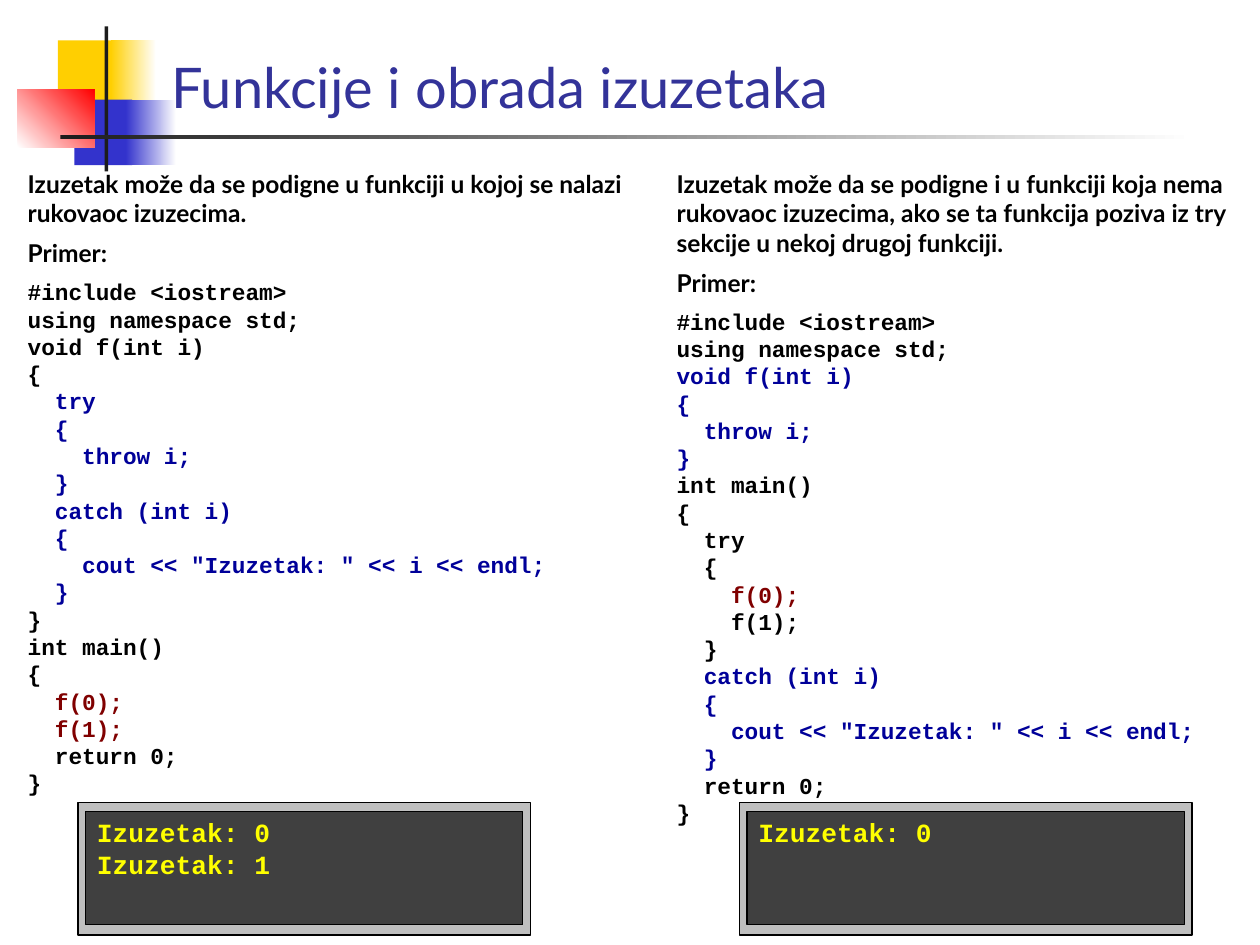
from pptx import Presentation
from pptx.dml.color import RGBColor
from pptx.enum.shapes import MSO_SHAPE
from pptx.enum.text import MSO_ANCHOR, MSO_AUTO_SIZE, PP_ALIGN
from pptx.oxml.ns import qn
from pptx.util import Inches, Pt
from lxml.etree import SubElement

COLORS = {
    "black": "000000", "white": "FFFFFF", "ink": "1C1C1C", "title": "333399",
    "gold": "FFCF01", "blue": "3333CC", "red": "FF0000", "navy": "000099",
    "maroon": "800000", "frame": "BFBFBF", "screen": "404040", "output": "FFFF00",
}
FORMATS = {
    "title": {"name": "Lato", "size": Pt(32), "bold": False},
    "prose": {"name": "Lato", "size": Pt(14), "bold": True},
    "code": {"name": "Courier New", "size": Pt(13), "bold": True},
    "output": {"name": "Courier New", "size": Pt(15), "bold": True},
}
DECORATION = [
    (0.46, 0.32, 0.48, 0.52, ["gold"], 0),
    (0.88, 0.32, 0.36, 0.52, ["gold", "white"], 0),
    (0.59, 0.79, 0.46, 0.52, ["blue"], 0),
    (1, 0.79, 0.4, 0.52, ["blue", "white"], 0),
    (0.14, 0.71, 0.61, 0.46, ["white", "red"], 45),
    (0.83, 0.21, 0.03, 1.15, ["ink"], 0),
    (0.48, 1.07, 9, 0.03, ["ink", "white"], 0),
]
LOCAL_HANDLER = [
    ("black", """#include <iostream>
using namespace std;
void f(int i)
{"""),
    ("navy", """  try
  {
    throw i;
  }
  catch (int i)
  {
    cout << "Izuzetak: " << i << endl;
  }"""),
    ("black", """}
int main()
{"""),
    ("maroon", """  f(0);
  f(1);"""),
    ("black", """  return 0;
}"""),
]
CALLER_HANDLER = [
    ("black", """#include <iostream>
using namespace std;"""),
    ("navy", """void f(int i)
{
  throw i;
}"""),
    ("black", """int main()
{
  try
  {"""),
    ("maroon", "    f(0);"),
    ("black", """    f(1);
  }"""),
    ("navy", """  catch (int i)
  {
    cout << "Izuzetak: " << i << endl;
  }"""),
    ("black", """  return 0;
}"""),
]
EXAMPLES = [
    (1, 0.12, 4.96, "Izuzetak može da se podigne u funkciji u kojoj se nalazi rukovaoc izuzecima.",
     LOCAL_HANDLER, 0.62, ["Izuzetak: 0", "Izuzetak: 1"]),
    (2, 5.27, 4.65, "Izuzetak može da se podigne i u funkciji koja nema rukovaoc izuzecima, "
     "ako se ta funkcija poziva iz try sekcije u nekoj drugoj funkciji.",
     CALLER_HANDLER, 5.87, ["Izuzetak: 0"]),
]


class Deck:
    """Holds the slide style and draws each kind of element on the current slide."""

    def __init__(self):
        self.prs = Presentation()
        self.prs.slide_width, self.prs.slide_height = Inches(10), Inches(7.5)
        self.s = self.prs.slides.add_slide(self.prs.slide_layouts[3])

    def color(self, name):
        return RGBColor.from_string(COLORS[name])

    def rect(self, x, y, w, h, fills, angle=0, line=None):
        sp = self.s.shapes.add_shape(
            MSO_SHAPE.RECTANGLE, Inches(x), Inches(y), Inches(w), Inches(h))
        sp.shadow.inherit = False
        if len(fills) > 1:
            sp.fill.gradient()
            sp.fill.gradient_angle = angle
            for stop, name in zip(sp.fill.gradient_stops, fills):
                stop.color.rgb = self.color(name)
        else:
            sp.fill.solid()
            sp.fill.fore_color.rgb = self.color(fills[0])
        if line:
            sp.line.color.rgb = self.color(line)
            sp.line.width = Pt(0)
        else:
            sp.line.fill.background()

    def placeholder(self, idx, x, y, w, h, anchor):
        sp = self.s.placeholders[idx]
        sp.left, sp.top, sp.width, sp.height = Inches(x), Inches(y), Inches(w), Inches(h)
        self.s.shapes._spTree.append(sp._element)
        tf = sp.text_frame
        tf.word_wrap, tf.auto_size, tf.vertical_anchor = True, MSO_AUTO_SIZE.NONE, anchor
        return tf

    def paragraph(self, tf, text, style, color, before=0, spacing=None, indent=0):
        p = tf.paragraphs[0] if not tf.paragraphs[0].runs else tf.add_paragraph()
        p.alignment, p.space_before = PP_ALIGN.LEFT, Pt(before)
        if spacing:
            p.line_spacing = Pt(spacing)
        pPr = p._p.get_or_add_pPr()
        pPr.set("marL", str(Inches(indent)))
        pPr.set("indent", str(-Inches(indent)))
        SubElement(pPr, qn("a:buNone"))
        r = p.add_run()
        r.text = text
        for key, value in FORMATS[style].items():
            setattr(r.font, key, value)
        r.font.color.rgb = self.color(color)

    def title(self, text):
        tf = self.placeholder(0, 1.26, 0.13, 8.74, 0.87, MSO_ANCHOR.BOTTOM)
        self.paragraph(tf, text, "title", "title")

    def example(self, idx, x, w, intro, code):
        tf = self.placeholder(idx, x, 1.29, w, 5.31, MSO_ANCHOR.TOP)
        self.paragraph(tf, intro, "prose", "black")
        self.paragraph(tf, "Primer:", "prose", "black", before=6)
        lines = [(color, line) for color, block in code for line in block.split("\n")]
        for i, (color, line) in enumerate(lines):
            self.paragraph(tf, line, "code", color, 0 if i else 6, 15.6, 0.38)

    def console(self, x, lines):
        self.rect(x, 6.37, 3.59, 1.05, ["frame"], line="black")
        self.rect(x + 0.06, 6.44, 3.47, 0.9, ["screen"], line="black")
        sp = self.s.shapes.add_textbox(
            Inches(x + 0.15), Inches(6.43), Inches(3.13), Inches(0.1 + 0.25 * len(lines)))
        tf = sp.text_frame
        tf.word_wrap, tf.margin_left, tf.margin_right = True, 0, 0
        for line in lines:
            self.paragraph(tf, line, "output", "output", spacing=18)


def main():
    deck = Deck()
    for part in DECORATION:
        deck.rect(*part)
    deck.title("Funkcije i obrada izuzetaka")
    for idx, x, w, intro, code, console_x, output in EXAMPLES:
        deck.example(idx, x, w, intro, code)
        deck.console(console_x, output)
    deck.prs.save("out.pptx")


if __name__ == "__main__":
    main()
